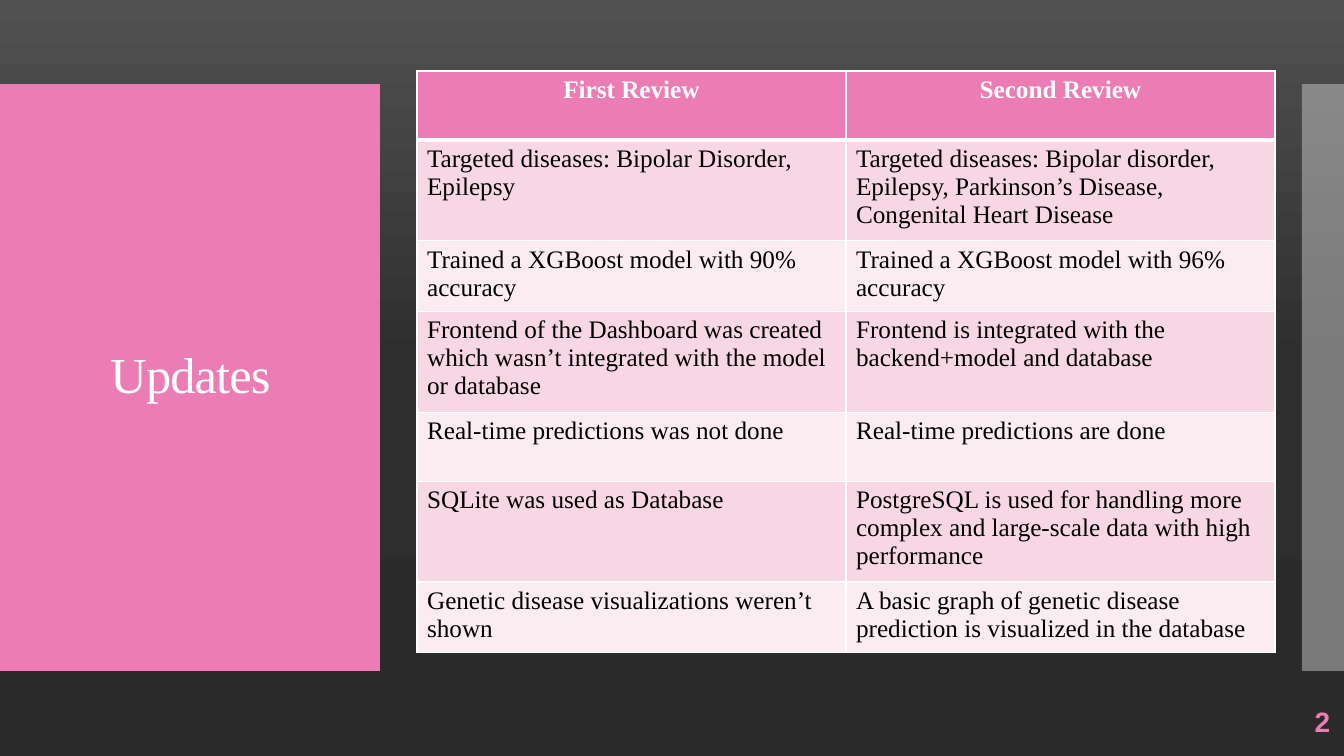
from lxml import etree
from pptx import Presentation
from pptx.dml.color import RGBColor
from pptx.enum.shapes import MSO_SHAPE
from pptx.enum.text import MSO_ANCHOR, PP_ALIGN
from pptx.oxml.ns import qn
from pptx.util import Pt

RECTANGLE = MSO_SHAPE.RECTANGLE
MIDDLE = MSO_ANCHOR.MIDDLE
LEFT, CENTER, RIGHT = PP_ALIGN.LEFT, PP_ALIGN.CENTER, PP_ALIGN.RIGHT

SLIDE_WIDTH, SLIDE_HEIGHT = 1344, 756
EMU_PER_PX = 12192000 / SLIDE_WIDTH
SERIF, SANS = "Times New Roman", "Arial"
PINK, WHITE, BLACK, GREY = "EC7CB4", "FFFFFF", "000000", "C8C8C8"
BANDS = ("F8D7E5", "FBECF2")
BACKDROP = ((0, "515151"), (48, "2E2E2E"), (100, "2A2A2A"))

HEADINGS = ("First Review", "Second Review")
REVIEWS = (
    ("Targeted diseases: Bipolar Disorder, Epilepsy",
     "Targeted diseases: Bipolar disorder, Epilepsy, Parkinson’s Disease, Congenital Heart Disease"),
    ("Trained a XGBoost model with 90% accuracy",
     "Trained a XGBoost model with 96% accuracy"),
    ("Frontend of the Dashboard was created which wasn’t integrated with the model or database",
     "Frontend is integrated with the backend+model and database"),
    ("Real-time predictions was not done",
     "Real-time predictions are done"),
    ("SQLite was used as Database",
     "PostgreSQL is used for handling more complex and large-scale data with high performance"),
    ("Genetic disease visualizations weren’t shown",
     "A basic graph of genetic disease prediction is visualized in the database"),
)


def px(*lengths):
    """Turn pixel lengths into a list of EMU."""
    return [round(length * EMU_PER_PX) for length in lengths]


def color(code):
    """Turn a hex string into a colour."""
    return RGBColor.from_string(code)


def set_backdrop(page, stops):
    """Fill the page with a gradient running from top to bottom."""
    fill = page.background.fill
    fill.gradient()
    fill.gradient_angle = 270
    stop_list = next(page.element.iter(qn("a:gsLst")))
    for stop in list(stop_list):
        stop_list.remove(stop)
    for percent, code in stops:
        stop = etree.SubElement(stop_list, qn("a:gs"), pos=str(percent * 1000))
        etree.SubElement(stop, qn("a:srgbClr"), val=code)


def add_panel(page, area, code, opacity=100):
    """Add a flat rectangle, see-through when its opacity is below 100."""
    panel = page.shapes.add_shape(RECTANGLE, *px(*area))
    panel.shadow.inherit = False
    panel.line.fill.background()
    panel.fill.solid()
    panel.fill.fore_color.rgb = color(code)
    if opacity < 100:
        tint = panel.fill._xPr.find(qn("a:solidFill"))[0]
        etree.SubElement(tint, qn("a:alpha"), val=str(opacity * 1000))


def write(frame, text, size, code, font=SERIF, bold=False, align=LEFT):
    """Write one run into the first paragraph and return both."""
    para = frame.paragraphs[0]
    para.alignment = align
    span = para.add_run()
    span.text = text
    span.font.size = Pt(size)
    span.font.name = font
    span.font.bold = bold
    span.font.color.rgb = color(code)
    return para, span


def add_text(page, area, *words, **style):
    """Add a wrapped, vertically centred text box."""
    box = page.shapes.add_textbox(*px(*area))
    frame = box.text_frame
    frame.word_wrap = True
    frame.vertical_anchor = MIDDLE
    return write(frame, *words, **style)


def set_borders(cell, bottom):
    """Draw white borders one point wide, with a chosen bottom width."""
    properties = cell._tc.get_or_add_tcPr()
    for side, width in (("L", 1), ("R", 1), ("T", 1), ("B", bottom)):
        line = etree.SubElement(properties, qn(f"a:ln{side}"), w=str(Pt(width)))
        fill = etree.SubElement(line, qn("a:solidFill"))
        etree.SubElement(fill, qn("a:srgbClr"), val=WHITE)


def add_review_table(page, left, top, column_width, row_height):
    """Add the comparison with a pink heading and banded rows."""
    rows = (HEADINGS, *REVIEWS)
    area = (left, top, column_width * len(HEADINGS), row_height * len(rows))
    table = page.shapes.add_table(len(rows), len(HEADINGS), *px(*area)).table
    for row_index, texts in enumerate(rows):
        heading = row_index == 0
        for column_index, text in enumerate(texts):
            cell = table.cell(row_index, column_index)
            set_borders(cell, 3 if heading else 1)
            cell.fill.solid()
            cell.fill.fore_color.rgb = color(PINK if heading else BANDS[(row_index - 1) % 2])
            write(cell.text_frame, text, 18, WHITE if heading else BLACK,
                  bold=heading, align=CENTER if heading else LEFT)


def main():
    """Build the updates slide and save it."""
    deck = Presentation()
    deck.slide_width, deck.slide_height = px(SLIDE_WIDTH, SLIDE_HEIGHT)
    page = deck.slides.add_slide(deck.slide_layouts[6])
    set_backdrop(page, BACKDROP)
    add_panel(page, (0, 84, 380, 587), PINK)
    add_panel(page, (1302, 84, 42, 587), GREY, opacity=50)
    para, span = add_text(page, (28, 124, 325, 507), "Updates", 36, WHITE, align=CENTER)
    para.line_spacing = 0.9
    span.font._element.set("spc", "-60")
    add_text(page, (1172, 701, 168, 40), "2", 20, PINK, font=SANS, bold=True, align=RIGHT)
    add_review_table(page, 417, 71, 429, 69)
    deck.save("out.pptx")


if __name__ == "__main__":
    main()
